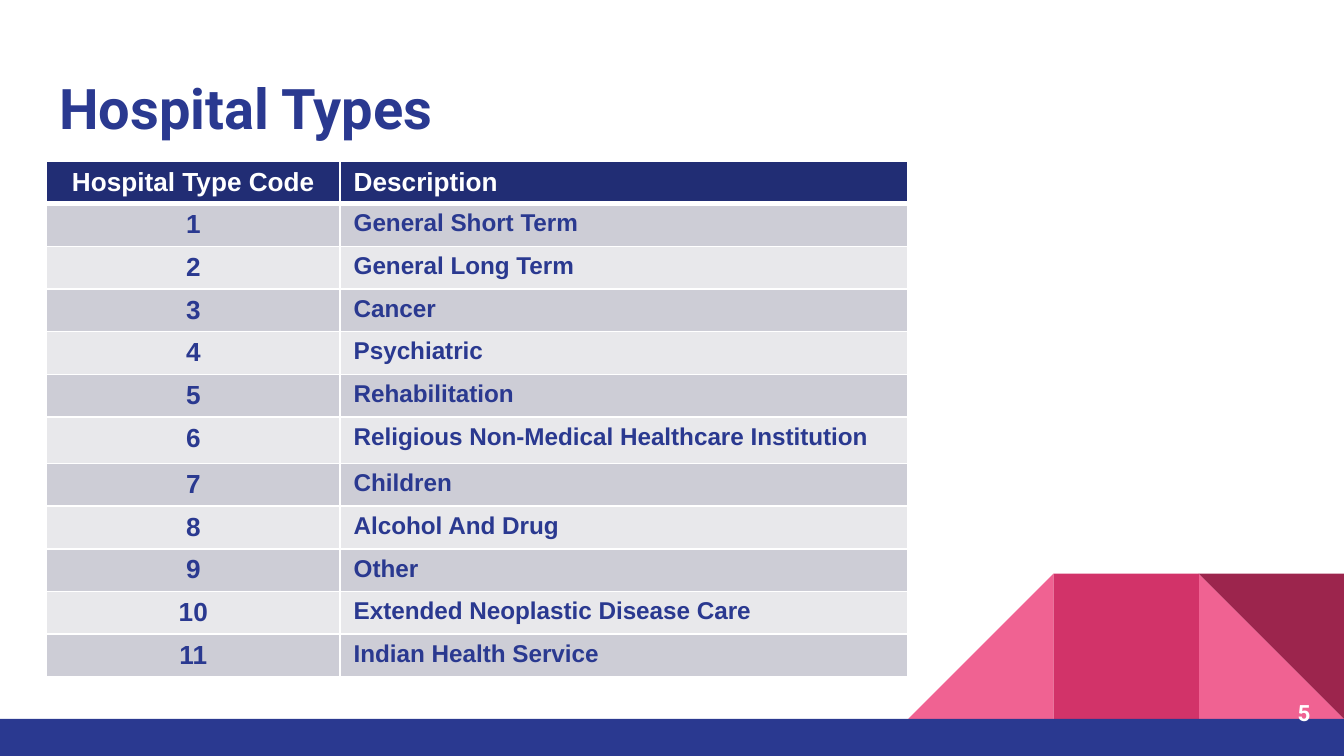
from dataclasses import dataclass

from lxml.etree import SubElement
from pptx import Presentation
from pptx.dml.color import RGBColor
from pptx.enum.shapes import MSO_SHAPE
from pptx.enum.text import MSO_ANCHOR, MSO_AUTO_SIZE, PP_ALIGN
from pptx.oxml.ns import qn
from pptx.util import Pt

NAVY = "2A3990"
WHITE = "FFFFFF"
PINK = "F06292"
HEADER_FILL = "212D74"
BAND_FILLS = ("CDCDD6", "E8E8EB")

HOSPITAL_TYPES = (
    "General Short Term",
    "General Long Term",
    "Cancer",
    "Psychiatric",
    "Rehabilitation",
    "Religious Non-Medical Healthcare Institution",
    "Children",
    "Alcohol And Drug",
    "Other",
    "Extended Neoplastic Disease Care",
    "Indian Health Service",
)
COLUMN_WIDTHS = (157.5, 303.9)
HEADER_HEIGHT = 22.5
ROW_HEIGHT = 22.9
TALL_ROW_HEIGHT = 24.8
TALL_ROW = 6

TILE = 77.8
TILE_LEFT = 720 - 3 * TILE
TILE_TOP = 307.3


@dataclass
class Ornament:
    kind: MSO_SHAPE
    left: float
    top: float
    width: float
    height: float
    fill: str
    rotation: float = 0
    mirrored: bool = False


@dataclass
class TextStyle:
    font: str
    size: float
    color: str
    align: PP_ALIGN = PP_ALIGN.LEFT


def color(code: str) -> RGBColor:
    return RGBColor.from_string(code)


def write(frame, text: str, style: TextStyle) -> None:
    frame.text = text
    paragraph = frame.paragraphs[0]
    paragraph.alignment = style.align
    paragraph.font.name = style.font
    paragraph.font.size = Pt(style.size)
    paragraph.font.bold = True
    paragraph.font.color.rgb = color(style.color)


def set_frame(frame, anchor: MSO_ANCHOR) -> None:
    frame.word_wrap = True
    frame.auto_size = MSO_AUTO_SIZE.NONE
    frame.vertical_anchor = anchor
    frame.margin_left = frame.margin_right = Pt(7.2)
    frame.margin_top = frame.margin_bottom = Pt(7.2)


def draw_ornament(page, ornament: Ornament) -> None:
    shape = page.shapes.add_shape(
        ornament.kind, Pt(ornament.left), Pt(ornament.top),
        Pt(ornament.width), Pt(ornament.height))
    shape.shadow.inherit = False
    shape.fill.solid()
    shape.fill.fore_color.rgb = color(ornament.fill)
    shape.line.fill.background()
    shape.rotation = ornament.rotation
    if ornament.mirrored:
        shape._element.spPr.find(qn("a:xfrm")).set("flipH", "1")


def add_borders(cell, bottom_width: float) -> None:
    properties = cell._tc.get_or_add_tcPr()
    for side, width in (("L", 1), ("R", 1), ("T", 1), ("B", bottom_width)):
        line = SubElement(properties, qn(f"a:ln{side}"), w=str(Pt(width)))
        fill = SubElement(line, qn("a:solidFill"))
        SubElement(fill, qn("a:srgbClr"), val=WHITE)


def fill_cell(cell, text: str, style: TextStyle, fill: str,
              margin: float, bottom_width: float = 1) -> None:
    add_borders(cell, bottom_width)
    cell.fill.solid()
    cell.fill.fore_color.rgb = color(fill)
    cell.margin_left = cell.margin_right = Pt(7.2)
    cell.margin_top = cell.margin_bottom = Pt(margin)
    cell.vertical_anchor = MSO_ANCHOR.TOP
    write(cell.text_frame, text, style)


def draw_table(page) -> None:
    count = len(HOSPITAL_TYPES)
    height = HEADER_HEIGHT + (count - 1) * ROW_HEIGHT + TALL_ROW_HEIGHT
    table = page.shapes.add_table(
        count + 1, 2, Pt(24.8), Pt(86.6),
        Pt(sum(COLUMN_WIDTHS)), Pt(height)).table
    for column, width in zip(table.columns, COLUMN_WIDTHS):
        column.width = Pt(width)

    table.rows[0].height = Pt(HEADER_HEIGHT)
    headings = (("Hospital Type Code", PP_ALIGN.CENTER),
                ("Description", PP_ALIGN.LEFT))
    for column, (heading, align) in enumerate(headings):
        fill_cell(table.cell(0, column), heading,
                  TextStyle("Arial", 14, WHITE, align), HEADER_FILL, 3.2, 3)

    code_style = TextStyle("Arial", 14, NAVY, PP_ALIGN.CENTER)
    description_style = TextStyle("Arial", 13, NAVY)
    for code, description in enumerate(HOSPITAL_TYPES, start=1):
        table.rows[code].height = Pt(TALL_ROW_HEIGHT if code == TALL_ROW else ROW_HEIGHT)
        fill = BAND_FILLS[(code - 1) % 2]
        fill_cell(table.cell(code, 0), str(code), code_style, fill, 3.4)
        fill_cell(table.cell(code, 1), description, description_style, fill, 3.4)


def main() -> None:
    deck = Presentation()
    deck.slide_width = Pt(720)
    deck.slide_height = Pt(405)
    page = deck.slides.add_slide(deck.slide_layouts[5])

    middle, right = TILE_LEFT + TILE, TILE_LEFT + 2 * TILE
    triangle, rectangle = MSO_SHAPE.RIGHT_TRIANGLE, MSO_SHAPE.RECTANGLE
    ornaments = (
        Ornament(triangle, right, TILE_TOP, TILE, TILE, PINK),
        Ornament(triangle, TILE_LEFT, TILE_TOP, TILE, TILE, PINK, mirrored=True),
        Ornament(rectangle, middle, TILE_TOP, TILE, TILE, "D23369"),
        Ornament(triangle, right, TILE_TOP, TILE, TILE, "9C254D", rotation=180),
        Ornament(rectangle, 0, TILE_TOP + TILE, 720, 405 - TILE_TOP - TILE, NAVY),
    )
    for ornament in ornaments:
        draw_ornament(page, ornament)

    title = page.shapes.title
    title.left, title.top = Pt(24.5), Pt(32.4)
    title.width, title.height = Pt(671), Pt(47.5)
    set_frame(title.text_frame, MSO_ANCHOR.TOP)
    write(title.text_frame, "Hospital Types", TextStyle("Roboto", 30, NAVY))

    number_box = page.shapes.add_textbox(Pt(666), Pt(366.5), Pt(43.2), Pt(31))
    set_frame(number_box.text_frame, MSO_ANCHOR.MIDDLE)
    write(number_box.text_frame, "5", TextStyle("Roboto", 12, WHITE, PP_ALIGN.RIGHT))

    draw_table(page)
    deck.save("out.pptx")


if __name__ == "__main__":
    main()
